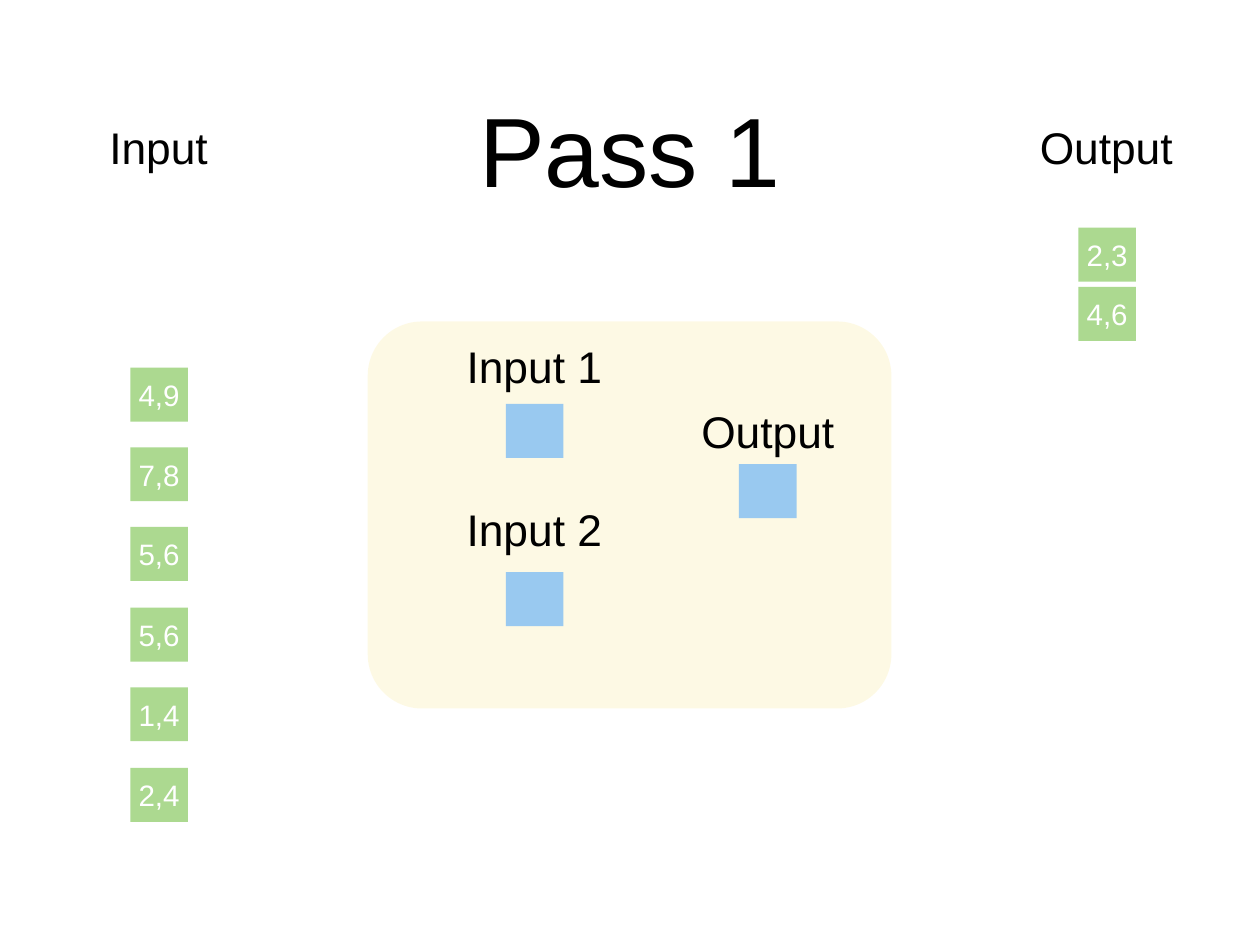
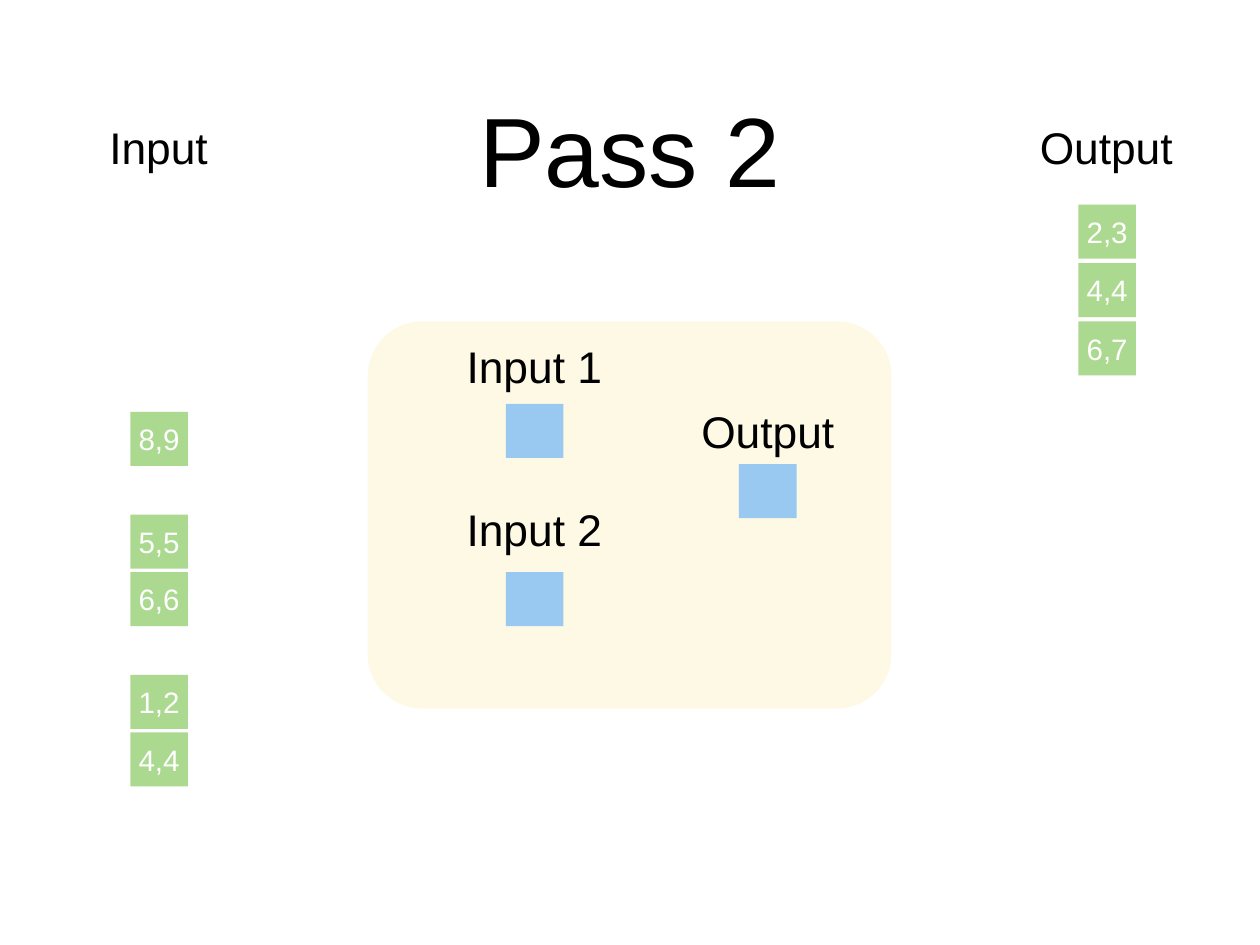
from dataclasses import dataclass

from lxml.etree import SubElement
from pptx import Presentation
from pptx.dml.color import RGBColor as RGB
from pptx.enum.shapes import MSO_SHAPE as Shape
from pptx.enum.text import MSO_ANCHOR as Anchor, MSO_AUTO_SIZE as Size, PP_ALIGN as Align
from pptx.oxml.ns import qn
from pptx.util import Emu, Pt

SCALE = 9144
TILE = (65, 61)
LEFT, RIGHT = 147, 1217


@dataclass(frozen=True)
class Theme:
    font: str = "Arial"
    ink: str = "000000"
    light: str = "FFFFFF"
    panel: str = "F5D328"
    data: str = "70BF41"
    buffer: str = "51A7F9"
    title: int = 80
    label: int = 36
    small: int = 24
    faint: int = 12
    soft: int = 58


THEME = Theme()

PASSES = [
    (
        "Pass 1",
        [(LEFT, 415, 867, ["4,9", "7,8", "5,6", "5,6", "1,4", "2,4"]),
         (RIGHT, 257, 324, ["2,3", "4,6"])],
    ),
    (
        "Pass 2",
        [(LEFT, 465, 465, ["8,9"]),
         (LEFT, 581, 646, ["5,5", "6,6"]),
         (LEFT, 762, 827, ["1,2", "4,4"]),
         (RIGHT, 231, 363, ["2,3", "4,4", "6,7"])],
    ),
]

LABELS = [
    ("Input", 116, 130, 126),
    ("Output", 1166, 130, 165),
    ("Input 1", 519, 378, 168),
    ("Input 2", 519, 561, 168),
    ("Output", 784, 451, 165),
]

BUFFERS = [(571, 456), (571, 646), (834, 524)]


def px(*sizes):
    return [Emu(size * SCALE) for size in sizes]


def write(shape, text, size, color, inset=0, wrap=True):
    frame = shape.text_frame
    frame.word_wrap = wrap
    frame.auto_size = Size.NONE if wrap else Size.SHAPE_TO_FIT_TEXT
    frame.vertical_anchor = Anchor.MIDDLE
    pad = Emu(inset * SCALE)
    frame.margin_left = frame.margin_right = pad
    frame.margin_top = frame.margin_bottom = pad
    line = frame.paragraphs[0]
    line.text = text
    line.alignment = Align.CENTER
    line.font.name = THEME.font
    line.font.size = Pt(size)
    line.font.color.rgb = RGB.from_string(color)


def add_block(slide, kind, box, color, alpha):
    block = slide.shapes.add_shape(kind, *px(*box))
    block.shadow.inherit = False
    block.line.fill.background()
    block.fill.solid()
    block.fill.fore_color.rgb = RGB.from_string(color)
    tint = block.fill._xPr.find(qn("a:solidFill"))[0]
    SubElement(tint, qn("a:alpha"), val=str(alpha * 1000))
    return block


def add_title(slide, text):
    box = slide.shapes.add_textbox(*px(104, 49, 1214, 236))
    write(box, text, THEME.title, THEME.ink)


def add_label(slide, text, x, y, width):
    box = slide.shapes.add_textbox(*px(x, y, width, 71))
    write(box, text, THEME.label, THEME.ink, inset=6, wrap=False)


def add_panel(slide):
    panel = add_block(slide, Shape.ROUNDED_RECTANGLE, (415, 363, 591, 437),
                      THEME.panel, THEME.faint)
    panel.adjustments[0] = 0.14


def add_tile(slide, x, y, color):
    return add_block(slide, Shape.RECTANGLE, (x, y, *TILE), color, THEME.soft)


def add_stack(slide, x, first, last, pairs):
    gaps = max(len(pairs) - 1, 1)
    for i, pair in enumerate(pairs):
        y = first + i * (last - first) // gaps
        tile = add_tile(slide, x, y, THEME.data)
        write(tile, pair, THEME.small, THEME.light)


def add_pass(deck, title, stacks):
    slide = deck.slides.add_slide(deck.slide_layouts[6])
    add_title(slide, title)
    add_panel(slide)
    for label in LABELS:
        add_label(slide, *label)
    for x, y in BUFFERS:
        add_tile(slide, x, y, THEME.buffer)
    for stack in stacks:
        add_stack(slide, *stack)


def main():
    deck = Presentation()
    deck.slide_width, deck.slide_height = px(1422, 1067)
    for title, stacks in PASSES:
        add_pass(deck, title, stacks)
    deck.save("out.pptx")


if __name__ == "__main__":
    main()
